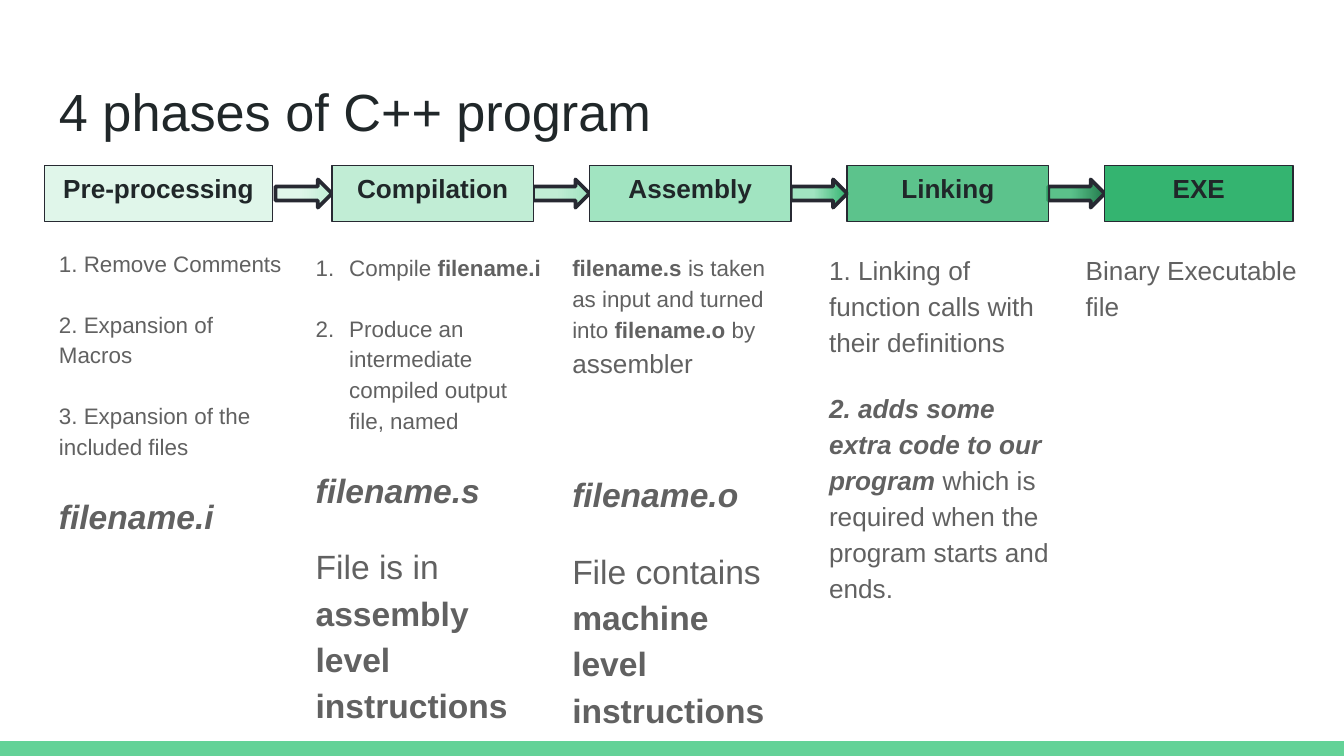
"""Build a slide showing the phases of a C++ program as a chain of boxes."""
import lxml.etree
import pptx
import pptx.dml.color
import pptx.enum.shapes
import pptx.enum.text
import pptx.oxml.ns
import pptx.util

THEME = {
    "font": "Arial",
    "title": 28, "label": 14, "large": 18, "medium": 14, "small": 12,
    "ink": "202729", "body": "616161", "outline": "272932",
    "bar": "63D297", "paper": "FFFFFF",
    "phases": ["E0F6EA", "C1EDD5", "A1E4C1", "34B470", "34B470"],
    "arrow_ends": ["C1EDD5", "A1E4C1", "34B470", "23784B"],
}
WIDTH = 10
HEIGHT = WIDTH * 9 / 16
PITCH = 23 / 12
COLUMN_LEFT, COLUMN_TOP, COLUMN_HEIGHT = 0.34, 1.76, 3.27
COLUMN_PITCH = 1.91
BOX_TOP, BOX_HEIGHT = 1.23, 0.42
ARROW_LEFT, ARROW_WIDTH, ARROW_HEIGHT = 2.05, 0.42, 0.21
BAR_HEIGHT = 0.11
TRANSLUCENT = 3
SHAPES = pptx.enum.shapes.MSO_SHAPE
qn = pptx.oxml.ns.qn
rgb = pptx.dml.color.RGBColor.from_string

phases = [("Pre-processing", 1.7), ("Compilation", 1.5), ("Assembly", 1.5),
          ("Linking", 1.5), ("EXE", 1.4)]
columns = [
    (COLUMN_TOP - 0.03, 1.92, [
        ("", 16, [("1. Remove Comments", "small", "")]),
        ("", 16, [("2. Expansion of Macros", "small", "")]),
        ("", 16, [("3. Expansion of the included files", "small", "")]),
        ("", 16, [("filename.i", "large", "bi")]),
    ]),
    (COLUMN_TOP, 1.92, [
        ("number", 16, [("Compile ", "small", ""), ("filename.i", "small", "b")]),
        ("number", 16, [("Produce an intermediate compiled output file, named", "small", "")]),
        ("", 16, [("filename.s", "large", "bi")]),
        ("", 16, [("File is in ", "large", ""), ("assembly level instructions", "large", "b")]),
    ]),
    (COLUMN_TOP, 1.83, [
        ("", 48, [("filename.s", "small", "b"),
                  (" is taken as input and turned into ", "small", ""),
                  ("filename.o", "small", "b"), (" by ", "small", ""),
                  ("assembler", "medium", "")]),
        ("", 16, [("filename.o", "large", "bi")]),
        ("", 16, [("File contains ", "large", ""), ("machine level instructions", "large", "b")]),
    ]),
    (COLUMN_TOP, 1.92, [
        ("", 16, [("1. Linking of function calls with their definitions", "medium", "")]),
        ("", 16, [("2. adds some extra code to our program", "medium", "bi"),
                  (" which is required when the program starts and ends.", "medium", "")]),
    ]),
    (COLUMN_TOP, 1.92, [("", 16, [("Binary Executable file", "medium", "")])]),
]

presentation = pptx.Presentation()
presentation.slide_width = pptx.util.Inches(WIDTH)
presentation.slide_height = pptx.util.Inches(HEIGHT)
slide = presentation.slides.add_slide(presentation.slide_layouts[6])


def add_shape(kind, left, top, width, height, line, line_width, inset=0.1):
    shape = slide.shapes.add_shape(kind, *map(pptx.util.Inches, (left, top, width, height)))
    shape.shadow.inherit = False
    shape.fill.background()
    if line:
        shape.line.color.rgb = rgb(THEME[line])
        shape.line.width = pptx.util.Pt(line_width)
    else:
        shape.line.fill.background()
    frame = shape.text_frame
    frame.word_wrap = True
    frame.vertical_anchor = pptx.enum.text.MSO_ANCHOR.TOP
    frame.margin_left = frame.margin_right = pptx.util.Inches(0.1)
    frame.margin_top = frame.margin_bottom = pptx.util.Inches(inset)
    frame.paragraphs[0].alignment = pptx.enum.text.PP_ALIGN.LEFT
    return shape


def add_run(paragraph, text, size, color, style=""):
    run = paragraph.add_run()
    run.text = text
    run.font.name = THEME["font"]
    run.font.size = pptx.util.Pt(THEME[size])
    run.font.color.rgb = rgb(THEME[color])
    run.font.bold = "b" in style
    run.font.italic = "i" in style


bar = add_shape(SHAPES.RECTANGLE, 0, HEIGHT - BAR_HEIGHT, WIDTH, BAR_HEIGHT, None, 0)
bar.fill.solid()
bar.fill.fore_color.rgb = rgb(THEME["bar"])

title = add_shape(SHAPES.RECTANGLE, COLUMN_LEFT, 0.49, 9.32, 0.63, None, 0)
add_run(title.text_frame.paragraphs[0], "4 phases of C++ program", "title", "ink")

for index, end_color in enumerate(THEME["arrow_ends"]):
    arrow = add_shape(SHAPES.RIGHT_ARROW, ARROW_LEFT + index * PITCH,
                      BOX_TOP + (BOX_HEIGHT - ARROW_HEIGHT) / 2,
                      ARROW_WIDTH, ARROW_HEIGHT, "outline", 2)
    arrow.fill.gradient()
    arrow.fill.gradient_angle = 0
    start, end = arrow.fill.gradient_stops
    start.position, end.position = 0.4, 1
    start.color.rgb = rgb(THEME["phases"][index])
    end.color.rgb = rgb(end_color)
    if index == TRANSLUCENT:
        color = next(arrow.element.spPr.iter(qn("a:srgbClr")))
        lxml.etree.SubElement(color, qn("a:alpha"), val="80000")

for index, (label, width) in enumerate(phases):
    left = ARROW_LEFT + ARROW_WIDTH + (index - 1) * PITCH if index else 0.33
    box = add_shape(SHAPES.RECTANGLE, left, BOX_TOP, width, BOX_HEIGHT, "outline", 0, 0.05)
    box.fill.solid()
    box.fill.fore_color.rgb = rgb(THEME["phases"][index])
    if index == TRANSLUCENT:
        color = next(box.element.spPr.iter(qn("a:srgbClr")))
        lxml.etree.SubElement(color, qn("a:alpha"), val="80000")
    paragraph = box.text_frame.paragraphs[0]
    paragraph.alignment = pptx.enum.text.PP_ALIGN.CENTER
    add_run(paragraph, label, "label", "ink", "b")

for index, (top, width, paragraphs) in enumerate(columns):
    column = add_shape(SHAPES.RECTANGLE, COLUMN_LEFT + index * COLUMN_PITCH, top,
                       width, COLUMN_HEIGHT, "paper", 0.75)
    frame = column.text_frame
    for position, (marker, space, runs) in enumerate(paragraphs):
        paragraph = frame.add_paragraph() if position else frame.paragraphs[0]
        paragraph.alignment = pptx.enum.text.PP_ALIGN.LEFT
        paragraph.line_spacing = 1.15
        paragraph.space_after = pptx.util.Pt(space)
        if marker:
            properties = paragraph._p.get_or_add_pPr()
            properties.set("marL", str(pptx.util.Inches(0.25)))
            properties.set("indent", str(pptx.util.Inches(-0.25)))
            lxml.etree.SubElement(properties, qn("a:buFont"), typeface=THEME["font"])
            lxml.etree.SubElement(properties, qn("a:buAutoNum"), type="arabicPeriod")
        for text, size, style in runs:
            add_run(paragraph, text, size, "body", style)

presentation.save("out.pptx")
